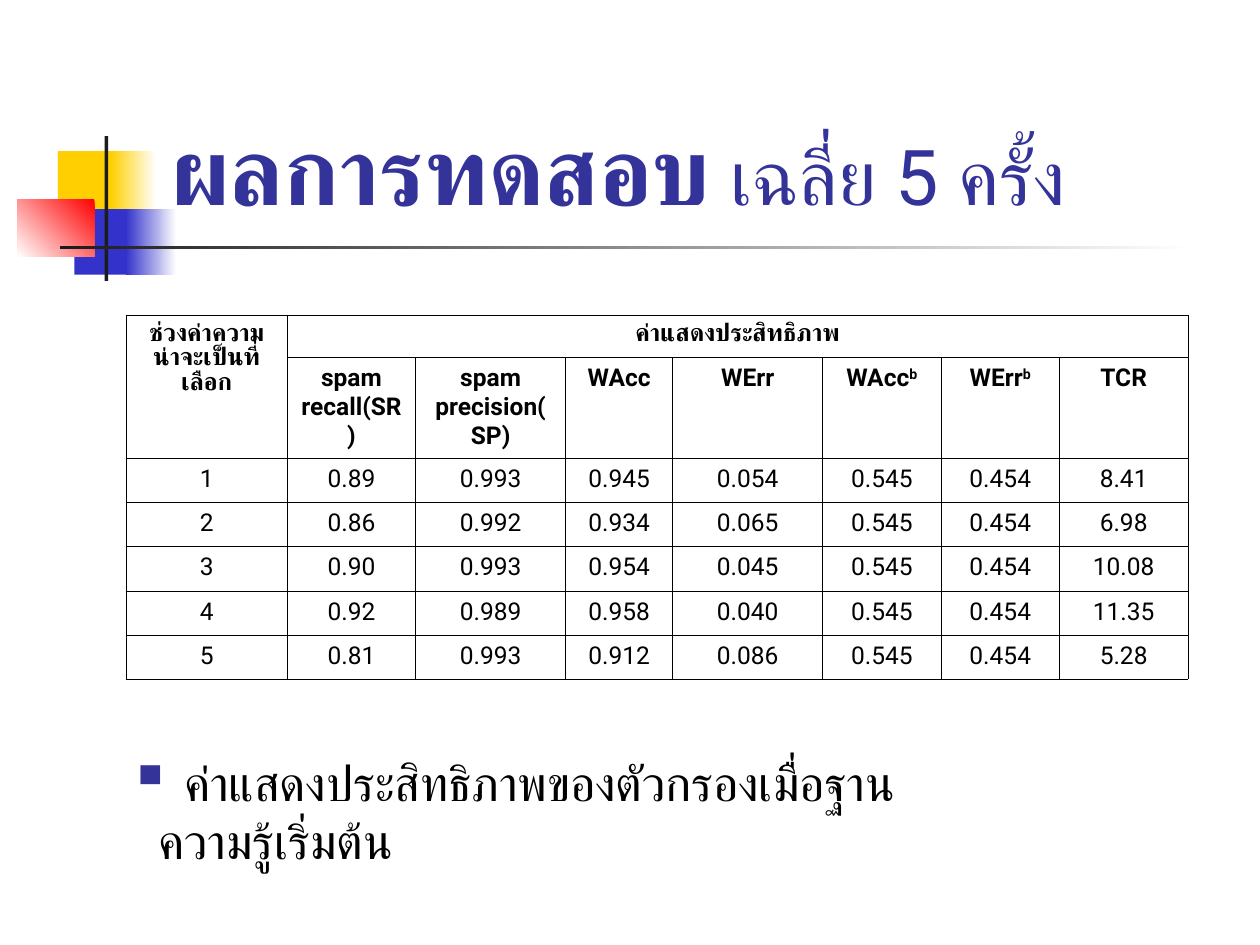
from lxml import etree
from pptx import Presentation
from pptx.dml.color import RGBColor
from pptx.enum.shapes import MSO_SHAPE
from pptx.enum.text import MSO_ANCHOR, MSO_AUTO_SIZE, PP_ALIGN
from pptx.oxml.ns import qn
from pptx.util import Inches, Pt

RECT = MSO_SHAPE.RECTANGLE
BOTTOM = MSO_ANCHOR.BOTTOM
NO_FIT = MSO_AUTO_SIZE.NONE
CENTER, LEFT = PP_ALIGN.CENTER, PP_ALIGN.LEFT

THAI, LATIN = "Karla", "Roboto"
NAVY, BLACK, WHITE = "333399", "000000", "FFFFFF"
YELLOW, BLUE, RED, DARK = "FFCF01", "3333CC", "FF0000", "1C1C1C"

# Left, top, width, height, colours (one is solid, two a gradient), angle
ORNAMENT = [
    (0.46, 1.2, 0.48, 0.52, [YELLOW], 0),
    (0.88, 1.2, 0.36, 0.52, [WHITE, YELLOW], 180),
    (0.59, 1.66, 0.46, 0.52, [BLUE], 0),
    (1, 1.66, 0.4, 0.52, [WHITE, BLUE], 180),
    (0.14, 1.58, 0.61, 0.46, [RED, WHITE], 225),
    (0.83, 1.08, 0.03, 1.15, [DARK], 0),
    (0.48, 1.95, 9, 0.03, [WHITE, DARK], 180),
]

COL_WIDTHS = [1.28, 1.02, 1.19, 0.85, 1.19, 0.94, 0.94, 1.02]
ROW_HEIGHTS = [0.34, 0.8] + [0.35] * 5
RANGE_HEAD = "ช่วงค่าความน่าจะเป็นที่เลือก"
GROUP_HEAD = "ค่าแสดงประสิทธิภาพ"
# "^" marks the start of a superscript
MEASURES = ["spam recall(SR)", "spam\nprecision(SP)", "WAcc", "WErr",
            "WAcc^b", "WErr^b", "TCR"]
RESULTS = [
    ["1", "0.89", "0.993", "0.945", "0.054", "0.545", "0.454", "8.41"],
    ["2", "0.86", "0.992", "0.934", "0.065", "0.545", "0.454", "6.98"],
    ["3", "0.90", "0.993", "0.954", "0.045", "0.545", "0.454", "10.08"],
    ["4", "0.92", "0.989", "0.958", "0.040", "0.545", "0.454", "11.35"],
    ["5", "0.81", "0.993", "0.912", "0.086", "0.545", "0.454", "5.28"],
]


def rgb(value):
    return RGBColor.from_string(value)


def add_run(p, text, size, font, color=BLACK, bold=False):
    r = p.add_run()
    r.text = text
    r.font.size = Pt(size)
    r.font.name = font
    r.font.bold = bold
    r.font.color.rgb = rgb(color)
    return r


def add_block(s, left, top, width, height, colors, angle):
    sp = s.shapes.add_shape(RECT, Inches(left), Inches(top),
                            Inches(width), Inches(height))
    sp.shadow.inherit = False
    sp.line.fill.background()
    if len(colors) == 1:
        sp.fill.solid()
        sp.fill.fore_color.rgb = rgb(colors[0])
        return
    sp.fill.gradient()
    sp.fill.gradient_angle = angle
    for stop, color in zip(sp.fill.gradient_stops, colors):
        stop.color.rgb = rgb(color)


def fill_title(s):
    title = s.shapes.title
    title.left, title.top = Inches(1.26), Inches(0.23)
    title.width, title.height = Inches(8.52), Inches(1.6)
    tf = title.text_frame
    tf.word_wrap = True
    tf.auto_size = NO_FIT
    tf.vertical_anchor = BOTTOM
    p = tf.paragraphs[0]
    p.alignment = LEFT
    add_run(p, "ผลการทดสอบ", 54, THAI, NAVY, bold=True)
    add_run(p, " เฉลี่ย ", 44, THAI, NAVY)
    add_run(p, "5 ", 44, LATIN, NAVY)
    add_run(p, "ครั้ง", 44, THAI, NAVY)


def set_borders(cell):
    tc_pr = cell._tc.get_or_add_tcPr()
    for i, side in enumerate(("lnL", "lnR", "lnT", "lnB")):
        ln = etree.Element(qn(f"a:{side}"), w=str(Pt(0.45)))
        fill = etree.SubElement(ln, qn("a:solidFill"))
        etree.SubElement(fill, qn("a:srgbClr"), val=BLACK)
        tc_pr.insert(i, ln)


def write_cell(cell, text, bold):
    p = cell.text_frame.paragraphs[0]
    p.alignment = CENTER
    base, _, superscript = text.partition("^")
    for i, line in enumerate(base.split("\n")):
        if i:
            p.add_line_break()
        add_run(p, line, 14, LATIN, bold=bold)
    if superscript:
        r = add_run(p, superscript, 14, LATIN, bold=bold)
        r._r.get_or_add_rPr().set("baseline", "30000")


def add_results_table(s):
    frame = s.shapes.add_table(
        len(ROW_HEIGHTS), len(COL_WIDTHS), Inches(1), Inches(2.5),
        Inches(sum(COL_WIDTHS)), Inches(sum(ROW_HEIGHTS)))
    table = frame.table
    table.first_row = table.horz_banding = False
    for col, width in zip(table.columns, COL_WIDTHS):
        col.width = Inches(width)
    for row, height in zip(table.rows, ROW_HEIGHTS):
        row.height = Inches(height)
    for cell in table.iter_cells():
        cell.fill.background()
        set_borders(cell)
    table.cell(0, 0).merge(table.cell(1, 0))
    table.cell(0, 1).merge(table.cell(0, len(MEASURES)))

    rows = [[RANGE_HEAD, GROUP_HEAD], [""] + MEASURES] + RESULTS
    for i, texts in enumerate(rows):
        for j, text in enumerate(texts):
            if text:
                write_cell(table.cell(i, j), text, bold=i < 2)


def add_bullet(p, char, color, percent, indent):
    p_pr = p._p.get_or_add_pPr()
    p_pr.set("marL", str(Inches(indent)))
    p_pr.set("indent", str(-Inches(indent)))
    bu_color = etree.SubElement(p_pr, qn("a:buClr"))
    etree.SubElement(bu_color, qn("a:srgbClr"), val=color)
    etree.SubElement(p_pr, qn("a:buSzPct"), val=str(percent * 1000))
    etree.SubElement(p_pr, qn("a:buChar"), char=char)


def add_caption(s):
    box = s.shapes.add_textbox(Inches(0.92), Inches(5.92),
                               Inches(6.5), Inches(1.04))
    tf = box.text_frame
    tf.word_wrap = True
    p = tf.paragraphs[0]
    add_bullet(p, "▪", NAVY, 120, 0.24)
    add_run(p, " ค่าแสดงประสิทธิภาพของตัวกรองเมื่อฐานความรู้เริ่มต้น", 28, THAI)


def main():
    prs = Presentation()
    prs.slide_width, prs.slide_height = Inches(10), Inches(7.5)
    s = prs.slides.add_slide(prs.slide_layouts[5])
    for block in ORNAMENT:
        add_block(s, *block)
    fill_title(s)
    add_results_table(s)
    add_caption(s)
    prs.save("out.pptx")


if __name__ == "__main__":
    main()
